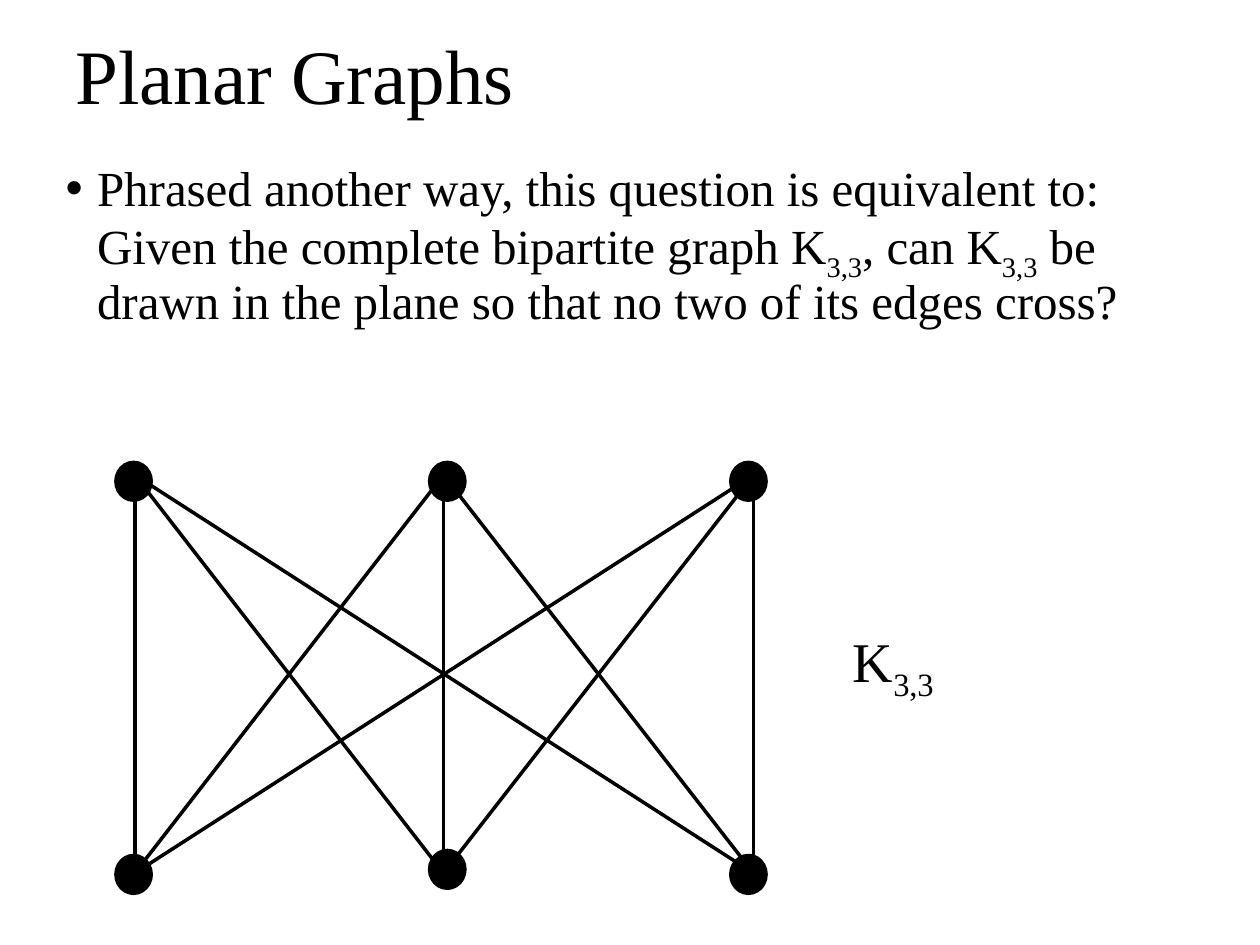
"""Build the Planar Graphs slide with a drawing of K3,3."""
import itertools
import pptx
import pptx.util
import pptx.dml.color
import pptx.enum.shapes
import pptx.enum.text
from lxml import etree
from pptx.oxml.ns import qn

COLORS = {"ink": "000000", "paper": "FFFFFF"}
INK = pptx.dml.color.RGBColor.from_string(COLORS["ink"])
FONT = "Times New Roman"
Inches, Pt = pptx.util.Inches, pptx.util.Pt


def place(sp, left, top, width, height):
    sp.left, sp.top, sp.width, sp.height = map(Inches, (left, top, width, height))


def write(p, parts, size):
    for i, text in enumerate(parts):
        r = p.add_run()
        r.text = text
        r.font.name, r.font.size = FONT, Pt(size)
        r.font.color.rgb = INK
        if i % 2:
            r._r.get_or_add_rPr().set("baseline", "-25000")


prs = pptx.Presentation()
prs.slide_width, prs.slide_height = Inches(10), Inches(7.5)
s = prs.slides.add_slide(prs.slide_layouts[1])
s.background.fill.solid()
s.background.fill.fore_color.rgb = pptx.dml.color.RGBColor.from_string(COLORS["paper"])

title, body = s.placeholders
place(title, 0.5, 0.17, 9, 0.92)
tf = title.text_frame
tf.auto_size = pptx.enum.text.MSO_AUTO_SIZE.NONE
tf.vertical_anchor = pptx.enum.text.MSO_ANCHOR.MIDDLE
p = tf.paragraphs[0]
p.alignment = pptx.enum.text.PP_ALIGN.LEFT
p.line_spacing = 0.9
write(p, ["Planar Graphs"], 44)

place(body, 0.42, 1.25, 9.17, 2.17)
tf = body.text_frame
tf.auto_size = pptx.enum.text.MSO_AUTO_SIZE.NONE
p = tf.paragraphs[0]
p.line_spacing, p.space_before = 0.9, Pt(0)
pPr = p._p.get_or_add_pPr()
pPr.set("marL", str(Inches(0.25)))
pPr.set("indent", str(-Inches(0.25)))
etree.SubElement(pPr, qn("a:buFont")).set("typeface", "Arial")
etree.SubElement(pPr, qn("a:buChar")).set("char", "•")
write(p, ["Phrased another way, this question is equivalent to: "
          "Given the complete bipartite graph K", "3,3", ", can K", "3,3",
          " be drawn in the plane so that no two of its edges cross?"], 28)

label = s.shapes.add_textbox(Inches(6.67), Inches(4.92), Inches(1.08), Inches(0.63))
tf = label.text_frame
tf.word_wrap = True
tf.auto_size = pptx.enum.text.MSO_AUTO_SIZE.SHAPE_TO_FIT_TEXT
write(tf.paragraphs[0], ["K", "3,3"], 32)

graph = s.shapes.add_group_shape()
edge_xs, edge_top, edge_bottom = (1.07, 3.52, 5.98), 3.77, 6.93
for x1, x2 in itertools.product(edge_xs, repeat=2):
    edge = graph.shapes.add_connector(
        pptx.enum.shapes.MSO_CONNECTOR.STRAIGHT,
        Inches(x1), Inches(edge_top), Inches(x2), Inches(edge_bottom))
    edge.line.color.rgb, edge.line.width = INK, Pt(2)
    etree.SubElement(edge._element.spPr, qn("a:effectLst"))

node_xs = (0.92, 3.41, 5.8)
node_rows = ((3.67, 3.67, 3.67), (6.79, 6.75, 6.79))
for tops in node_rows:
    for x, y in zip(node_xs, tops):
        node = graph.shapes.add_shape(pptx.enum.shapes.MSO_SHAPE.OVAL,
                                      Inches(x), Inches(y), Inches(0.28), Inches(0.3))
        node.shadow.inherit = False
        node.fill.solid()
        node.fill.fore_color.rgb = INK
        node.line.color.rgb, node.line.width = INK, Pt(2)

prs.save("out.pptx")
